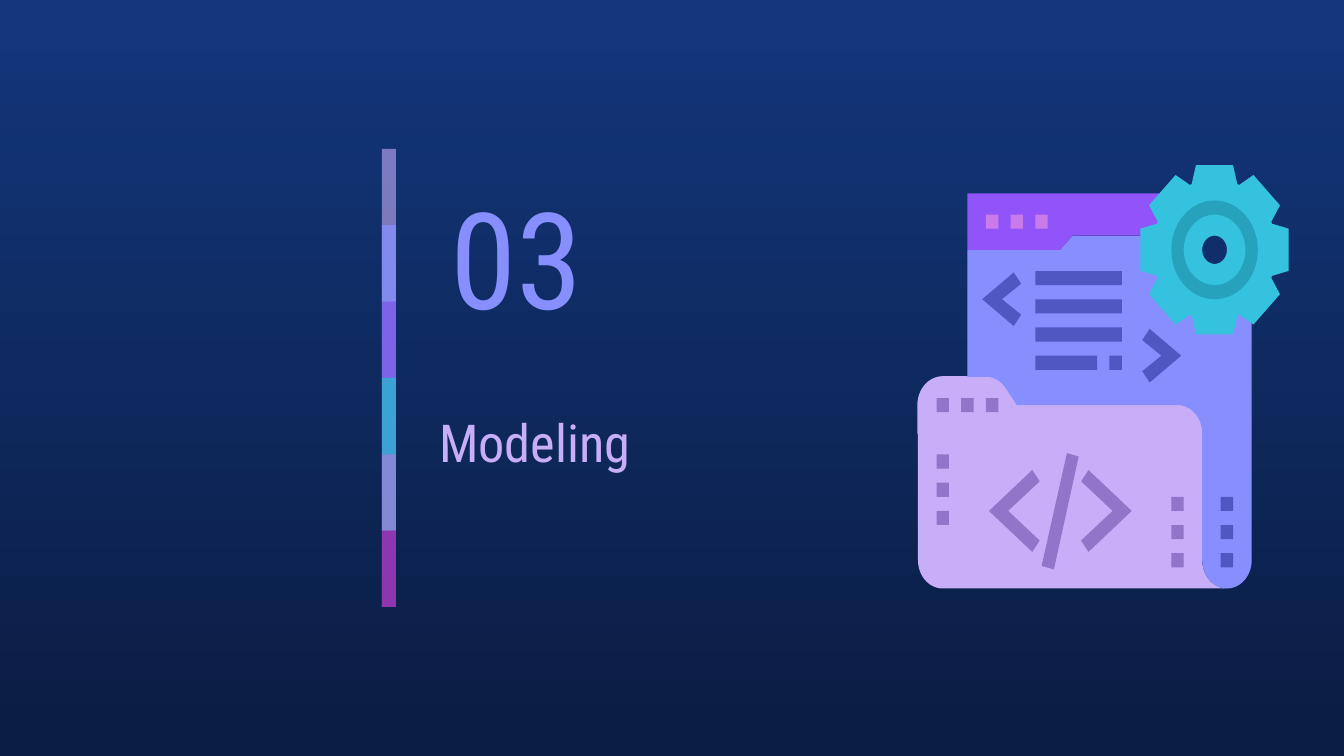
from math import cos, radians, sin

from lxml import etree
from pptx import Presentation
from pptx.dml.color import RGBColor
from pptx.enum.shapes import MSO_SHAPE
from pptx.enum.text import MSO_ANCHOR
from pptx.oxml.ns import qn
from pptx.util import Pt

RECT = MSO_SHAPE.RECTANGLE
MIDDLE = MSO_ANCHOR.MIDDLE
NAVY_TOP = RGBColor(0x13, 0x36, 0x7C)
NAVY_BOTTOM = RGBColor(0x0A, 0x1D, 0x42)
LILAC = RGBColor(0xC8, 0xAE, 0xF8)
PERIWINKLE = RGBColor(0x87, 0x8F, 0xFF)
VIOLET = RGBColor(0x91, 0x54, 0xF8)
CYAN = RGBColor(0x35, 0xC2, 0xDF)
TEAL = RGBColor(0x26, 0xA2, 0xBC)
PINK = RGBColor(0xCA, 0x7B, 0xEB)
MAGENTA = RGBColor(0x97, 0x2C, 0xB4)
INDIGO = RGBColor(0x4F, 0x57, 0xC3)
PLUM = RGBColor(0x92, 0x75, 0xC8)
FONT = "Roboto Condensed"

# Content: text, box (left, top, width, height), size, colour
HEADINGS = [
    ("03", (234, 88.6, 126, 97.2), 72, PERIWINKLE),
    ("Modeling", (228.2, 202.3, 236.2, 69.1), 28, LILAC),
]

# Side bar: colour and opacity in percent, each piece lapping over the next
BAR_PIECES = [(LILAC, 59), (PERIWINKLE, 74), (VIOLET, 53),
              (CYAN, 76), (PINK, 56), (MAGENTA, 74)]
BAR_LEFT, BAR_TOP, BAR_WIDTH, BAR_STEP = 204.6, 79.8, 7.5, 40.9

# The icon is laid out on a grid of 30 by 30 cells
ICON_LEFT, ICON_TOP = 491.8, 88.5
CELL_WIDTH, CELL_HEIGHT = 6.62, 7.56
GEAR_CENTRE = (24, 6)
GEAR_QUADRANT = [(1.5, 6), (1.85, 4.65), (2, 4.6), (3.15, 5.3),
                 (5.3, 3.15), (4.6, 2), (4.65, 1.85), (6, 1.5)]

# Blocks one cell high: colour, column positions, row positions, width
BLOCKS = [
    (PINK, (5.5, 7.5, 9.5), (3.5,), 1),           # window buttons
    (PLUM, (1.5, 3.5, 5.5), (16.5,), 1),          # folder tab
    (PLUM, (1.5,), (20.5, 22.5, 24.5), 1),        # folder left
    (PLUM, (20.5,), (23.5, 25.5, 27.5), 1),       # folder right
    (INDIGO, (24.5,), (23.5, 25.5, 27.5), 1),     # page edge
    (INDIGO, (9.5,), (7.5, 9.5, 11.5), 7),        # code lines
    (INDIGO, (9.5,), (13.5,), 5),
    (INDIGO, (15.5,), (13.5,), 1),
]

# Angle brackets: colour, tip, direction of opening, upper half from the tip
SMALL = [(2.55, 1.9), (3.15, 1.1), (1.6, 0)]
LARGE = [(3.5, 2.9), (4.1, 2.1), (1.55, 0)]
BRACKETS = [
    (INDIGO, (5.2, 9.5), 1, SMALL),
    (INDIGO, (21.3, 13.5), -1, SMALL),
    (PLUM, (5.75, 24.5), 1, LARGE),
    (PLUM, (17.3, 24.5), -1, LARGE),
]
SLASH = [(12.05, 20.4), (10, 28.4), (11, 28.65), (13, 20.65)]


prs = Presentation()
prs.slide_width, prs.slide_height = Pt(720), Pt(405)
slide = prs.slides.add_slide(prs.slide_layouts[6])
shapes = slide.shapes


def paint(shape, colour, opacity=100, line=None):
    shape.shadow.inherit = False
    shape.fill.solid()
    shape.fill.fore_color.rgb = colour
    if opacity < 100:
        rgb = shape.fill._xPr.find(qn("a:solidFill"))[0]
        etree.SubElement(rgb, qn("a:alpha"), val=str(opacity * 1000))
    if line:
        shape.line.color.rgb = line
        shape.line.width = Pt(0.75)
    else:
        shape.line.fill.background()


def add_text(text, box, *, size, colour):
    frame = shapes.add_textbox(*map(Pt, box)).text_frame
    frame.word_wrap = True
    frame.vertical_anchor = MIDDLE
    frame.margin_left = frame.margin_right = Pt(7.2)
    frame.margin_top = frame.margin_bottom = Pt(7.2)
    run = frame.paragraphs[0].add_run()
    run.text = text
    run.font.name, run.font.size, run.font.color.rgb = FONT, Pt(size), colour


def on_grid(point):
    x, y = point
    return Pt(ICON_LEFT + x * CELL_WIDTH), Pt(ICON_TOP + y * CELL_HEIGHT)


def arc(centre, radius, start, end):
    """Points along an arc; degrees run clockwise from the right."""
    steps = max(8, abs(end - start) // 6)
    angles = [radians(start + (end - start) * i / steps) for i in range(steps + 1)]
    return [(centre[0] + radius * cos(a), centre[1] + radius * sin(a)) for a in angles]


def add_outline(colour, *contours, line=None):
    first, *others = [[on_grid(p) for p in contour] for contour in contours]
    builder = shapes.build_freeform(*first[0])
    builder.add_line_segments(first[1:])
    for contour in others:
        builder.move_to(*contour[0])
        builder.add_line_segments(contour[1:])
    paint(builder.convert_to_shape(), colour, line=line)


def add_ring(colour, outer, inner):
    add_outline(colour, *(arc(GEAR_CENTRE, r, 0, 360) for r in (outer, inner)))


# Background
background = slide.background.fill
background.gradient()
background.gradient_angle = 270
for stop, colour in zip(background.gradient_stops, (NAVY_TOP, NAVY_BOTTOM)):
    stop.color.rgb = colour

# Headings
for text, box, size, colour in HEADINGS:
    add_text(text, box, size=size, colour=colour)

# Folder and page
tab_edge = arc((5.5, 17), 2, -90, -35) + [(8, 17)] + arc((21, 19), 2, -90, 0)
fold = arc((25, 28), 2, 180, 90)
add_outline(LILAC, [(0, 19)] + arc((2, 28), 2, 180, 90) + fold[::-1] + [(23, 19)])
add_outline(LILAC, [(0, 19)] + arc((2, 17), 2, 180, 270) + tab_edge, line=LILAC)
add_outline(PERIWINKLE, [(12.5, 5), (11.5, 6), (4, 6), (4, 15)] + tab_edge + fold
            + arc((25, 28), 2, 90, 0)
            + [(27, 11.2), (26, 10.4), (22, 10.4), (20, 9), (19.5, 8), (19.5, 5)])
add_outline(VIOLET, [(4, 2), (4, 6), (11.5, 6), (12.5, 5), (19.5, 5), (19.5, 2)])

# Gear: one quadrant mirrored around the centre
teeth = []
for sx, sy in ((1, -1), (1, 1), (-1, 1), (-1, -1)):
    quadrant = GEAR_QUADRANT if sx * sy < 0 else GEAR_QUADRANT[::-1]
    teeth += [(GEAR_CENTRE[0] + sx * x, GEAR_CENTRE[1] + sy * y) for x, y in quadrant]
add_ring(CYAN, 3, 1)
add_outline(CYAN, teeth, arc(GEAR_CENTRE, 3, 0, 360))
add_ring(TEAL, 3.5, 2.5)

# Blocks on the window, page and folder
for colour, columns, rows, width in BLOCKS:
    for x in columns:
        for y in rows:
            block = shapes.add_shape(RECT, *on_grid((x, y)),
                                     Pt(width * CELL_WIDTH), Pt(CELL_HEIGHT))
            paint(block, colour)

# Code symbols
for colour, (x, y), side, half in BRACKETS:
    upper = [(x + side * dx, y - dy) for dx, dy in half]
    lower = [(x + side * dx, y + dy) for dx, dy in half[1::-1]]
    add_outline(colour, [(x, y)] + upper + lower)
add_outline(PLUM, SLASH)

# Side bar
for i, (colour, opacity) in enumerate(BAR_PIECES):
    steps = min(2, len(BAR_PIECES) - i)
    piece = shapes.add_shape(RECT, Pt(BAR_LEFT), Pt(BAR_TOP + i * BAR_STEP),
                             Pt(BAR_WIDTH), Pt(steps * BAR_STEP))
    paint(piece, colour, opacity)

prs.save("out.pptx")
